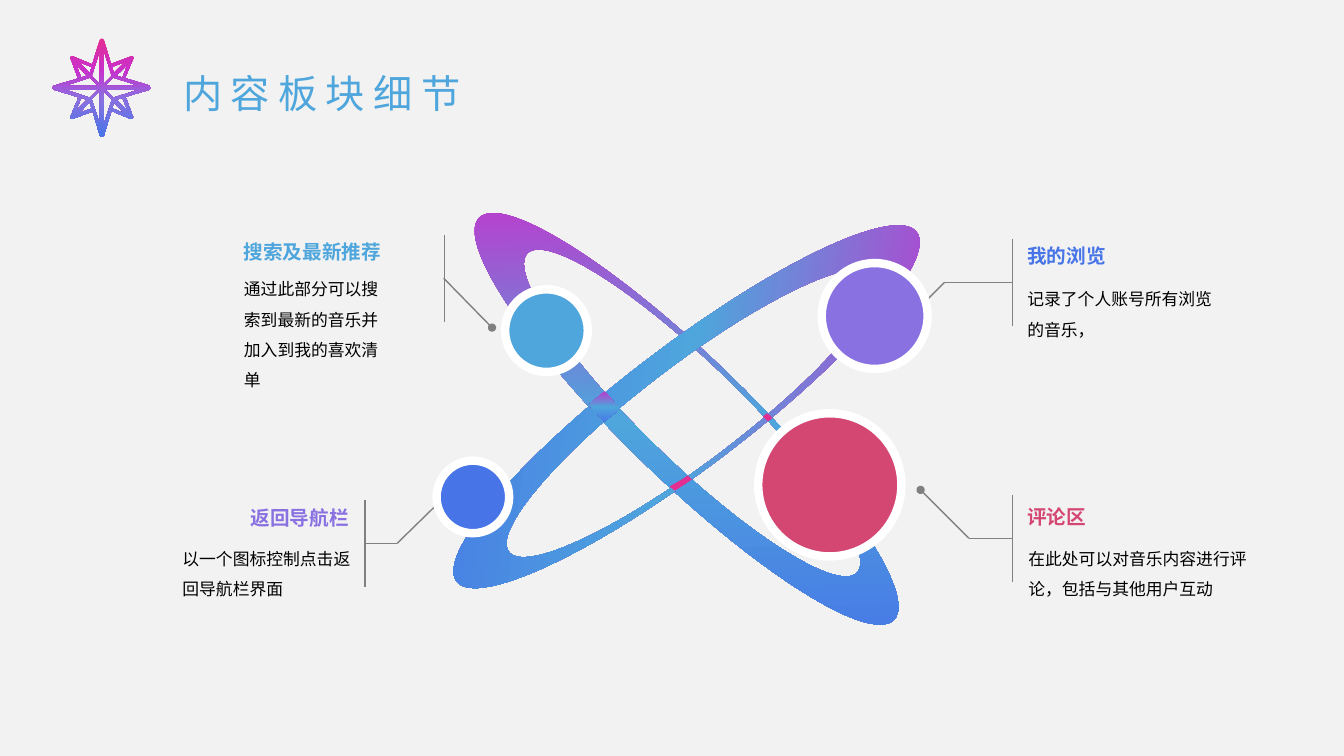
from math import cos, radians, sin

from lxml import etree
from pptx import Presentation
from pptx.dml.color import RGBColor
from pptx.enum import shapes, text
from pptx.oxml import ns
from pptx.util import Inches, Pt

HUES = {
    "back": "F2F2F2", "white": "FFFFFF", "black": "000000", "gray": "808080",
    "pink": "E32D91", "plum": "C830CC", "sky": "4EA6DC", "blue": "4775E7",
    "violet": "8971E1", "rose": "D54773",
}
BLEND = [(0, "plum"), (50, "sky"), (100, "blue")]
GLOW = [(0, "pink"), (32, "plum"), (61, "violet"), (100, "blue")]
NOTO = "Noto Sans CJK SC"
TILT = 314.1

PATCHES = [
    ((6.755, 4.795), "pink",
     [(6.82, 4.72), (6.86, 4.76), (6.71, 4.86), (6.69, 4.87), (6.64, 4.83), (6.78, 4.75)]),
    ((6, 4.04), BLEND,
     [(6, 3.89), (6.06, 3.96), (6.15, 4.06), (6.05, 4.14), (5.99, 4.19), (5.84, 4.02), (5.98, 3.9)]),
    ((7.615, 4.135), "pink",
     [(7.61, 4.1), (7.65, 4.13), (7.66, 4.15), (7.62, 4.18), (7.57, 4.13)]),
]
LEADS = [
    (4.41, 2.76, 4.4, (4.88, 3.25)),
    (3.62, 5.39, 3.94, (4.43, 4.91)),
    (10.04, 2.8, 9.37, (8.89, 3.28)),
    (10.04, 5.34, 9.61, (9.13, 4.86)),
]
NOTES = [
    ("我的浏览", "blue", (10.03, 2.37, 1.34, 0.34),
     "记录了个人账号所有浏览\n的音乐，", (10.03, 2.72, 2.11, 1.3), False),
    ("评论区", "rose", (10.03, 4.96, 1.34, 0.34),
     "在此处可以对音乐内容进行评论，包括与其他用户互动", (10.04, 5.29, 2.46, 0.71), False),
    ("搜索及最新推荐", "sky", (1.48, 2.33, 2.46, 0.34),
     "通过此部分可以搜索到最新的音乐并加入到我的喜欢清单", (2.42, 2.62, 1.57, 1.08), True),
    ("返回导航栏", "violet", (2.28, 4.97, 1.34, 0.34),
     "以一个图标控制点击返回导航栏界面", (1.81, 5.29, 1.94, 0.71), True),
]


def color(name):
    """Return the named colour."""
    return RGBColor.from_string(HUES[name])


def paint(fill, hue, angle=135):
    """Fill with a named colour or with a list of gradient stops."""
    if isinstance(hue, str):
        fill.solid()
        fill.fore_color.rgb = color(hue)
        return
    fill.gradient()
    fill.gradient_angle = 360 - angle
    stops = fill._fill._gradFill.find(ns.qn("a:gsLst"))
    for old in list(stops):
        stops.remove(old)
    for pos, name in hue:
        stop = etree.SubElement(stops, ns.qn("a:gs"), pos=str(pos * 1000))
        etree.SubElement(stop, ns.qn("a:srgbClr"), val=HUES[name])


def spin(point, angle):
    """Turn a point clockwise about zero, in degrees."""
    x, y = point
    c, s = cos(radians(angle)), sin(radians(angle))
    return x * c - y * s, x * s + y * c


def outline(slide, center, loops, hue, turn=0, angle=135):
    """Draw closed loops, given relative to a center, as one shape."""
    def place(point):
        return Inches(center[0] + point[0]), Inches(center[1] + point[1])

    build = slide.shapes.build_freeform(*place(loops[0][0]))
    for i, loop in enumerate(loops):
        if i:
            build.move_to(*place(loop[0]))
        build.add_line_segments([place(p) for p in loop[1:]], close=True)
    shape = build.convert_to_shape()
    shape.shadow.inherit = False
    shape.rotation = turn
    paint(shape.fill, hue, angle)
    shape.line.fill.background()
    return shape


def bend(shape):
    """Turn each straight side of a diamond into a quarter of an ellipse."""
    def spot(node):
        return int(node[0].get("x")), int(node[0].get("y"))

    def pull(point, corner):
        return [round(a + 0.5523 * (b - a)) for a, b in zip(point, corner)]

    sides = list(shape._element.iter(ns.qn("a:lnTo")))
    ends = [(spot(side.getprevious()), spot(side)) for side in sides]
    for i, (side, (a, b)) in enumerate(zip(sides, ends)):
        corner = (b[0], a[1]) if i % 2 else (a[0], b[1])
        curve = etree.Element(ns.qn("a:cubicBezTo"))
        for x, y in (pull(a, corner), pull(b, corner), b):
            etree.SubElement(curve, ns.qn("a:pt"), x=str(x), y=str(y))
        side.getparent().replace(side, curve)


def ring(slide, center, turn):
    """Draw a tilted orbit that is thin on one side."""
    loops = [[(x + rx, 0), (x, ry), (x - rx, 0), (x, -ry), (x + rx, 0)]
             for x, rx, ry in ((0, 0.61, 2.865), (0.08, 0.485, 2.275))]
    bend(outline(slide, center, loops, BLEND, turn))


def patch(slide, center, hue, points):
    """Draw a small piece where the orbits cross."""
    flat = [spin((x - center[0], y - center[1]), -TILT) for x, y in points]
    outline(slide, center, [flat], hue, TILT)


def star(slide, center):
    """Draw the eight-pointed star."""
    arm = [(-0.02, -0.475), (0, -0.49), (0.02, -0.475), (0.09, -0.235),
           (0.29, -0.31), (0.31, -0.305), (0.31, -0.285), (0.23, -0.095)]
    slit = [(0.02, -0.365), (0.1, -0.115), (0.02, -0.035)]
    notch = [(0.1, -0.205), (0.12, -0.145), (0.23, -0.255)]
    cuts = [slit, notch] + [[(-y, -x) for x, y in cut] for cut in (slit, notch)]
    turns = range(0, 360, 90)
    rim = [spin(p, t) for t in turns for p in arm]
    holes = [[spin(p, t) for p in cut] for t in turns for cut in cuts]
    outline(slide, center, [rim] + holes, GLOW, angle=90)


def disc(slide, left, top, size, hue):
    """Draw a circle with a white rim."""
    shape = slide.shapes.add_shape(
        shapes.MSO_SHAPE.OVAL, Inches(left), Inches(top), Inches(size), Inches(size))
    shape.shadow.inherit = False
    paint(shape.fill, hue)
    shape.line.color.rgb = color("white")
    shape.line.width = Pt(6)


def line(slide, start, end, dot=False):
    """Draw a thin gray line, with a dot at its end if asked."""
    link = slide.shapes.add_connector(
        shapes.MSO_CONNECTOR.STRAIGHT, *[Inches(v) for v in (*start, *end)])
    link.line.color.rgb = color("gray")
    link.line.width = Pt(1)
    if dot:
        etree.SubElement(link.line._get_or_add_ln(), ns.qn("a:tailEnd"), type="oval")
    etree.SubElement(link._element.spPr, ns.qn("a:effectLst"))


def lead(slide, x, y, elbow, end):
    """Draw a bar and the bent line from it to a circle."""
    line(slide, (elbow, y), end, dot=True)
    line(slide, (x, y - 0.43), (x, y + 0.43))
    line(slide, (x, y), (elbow, y))


def write(slide, words, box, size=12, hue="black", font=NOTO, bold=False,
          right=False, wrap=True, space=None, pads=(0.1, 0.1), track=0, grow=False):
    """Add a text box."""
    frame = slide.shapes.add_textbox(*[Inches(v) for v in box]).text_frame
    frame.word_wrap = wrap
    frame.margin_left, frame.margin_right = [Inches(v) for v in pads]
    if grow:
        frame.auto_size = text.MSO_AUTO_SIZE.SHAPE_TO_FIT_TEXT
    for i, part in enumerate(words.split("\n")):
        para = frame.add_paragraph() if i else frame.paragraphs[0]
        para.line_spacing = space
        if right:
            para.alignment = text.PP_ALIGN.RIGHT
        run = para.add_run()
        run.text = part
        run.font.size, run.font.bold, run.font.name = Pt(size), bold, font
        paint(run.font.fill, hue)
        props = run._r.get_or_add_rPr()
        if font == NOTO:
            props.find(ns.qn("a:latin")).addnext(etree.Element(ns.qn("a:ea"), typeface=font))
        if track:
            props.set("spc", str(track * 100))


def note(slide, head, hue, top, body, box, left):
    """Write a heading and its body text."""
    pads = (0, 0.16) if left else (0.16, 0)
    write(slide, head, top, size=14, hue=hue, bold=True, right=left, wrap=False, pads=pads)
    write(slide, body, box, space=1.5, pads=pads)


def main():
    """Build the slide."""
    deck = Presentation()
    deck.slide_width, deck.slide_height = Inches(13.33), Inches(7.5)
    slide = deck.slides.add_slide(deck.slide_layouts[6])
    paint(slide.background.fill, "back")
    ring(slide, (6.81, 4.155), TILT)
    ring(slide, (6.81, 4.035), 52.8)
    for item in PATCHES:
        patch(slide, *item)
    disc(slide, 5.01, 2.87, 0.82, "sky")
    disc(slide, 7.52, 4.1, 1.42, "rose")
    for item in LEADS:
        lead(slide, *item)
    for item in NOTES:
        note(slide, *item)
    disc(slide, 8.15, 2.61, 1.05, "violet")
    disc(slide, 4.33, 4.57, 0.72, "blue")
    write(slide, "内容板块细节", (1.72, 0.64, 3.03, 0.57), size=28, hue=BLEND,
          font="Calibri", wrap=False, track=6, grow=True)
    star(slide, (1.01, 0.87))
    deck.save("out.pptx")


if __name__ == "__main__":
    main()
